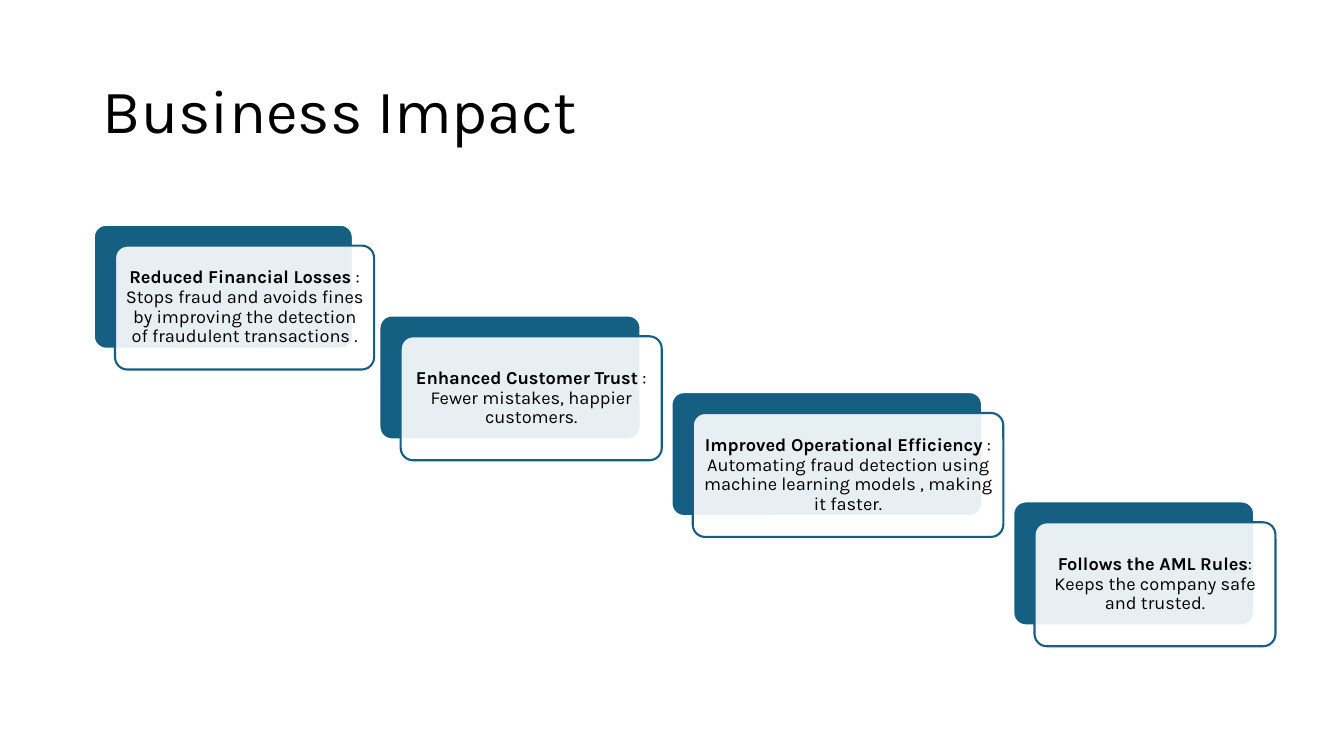
import pptx
import pptx.util
import pptx.dml.color
import pptx.enum.shapes
import pptx.enum.text
import pptx.oxml
import pptx.oxml.ns
import lxml.etree

BLUE = pptx.dml.color.RGBColor(0x15, 0x60, 0x82)
WHITE = pptx.dml.color.RGBColor(0xFF, 0xFF, 0xFF)
BLACK = pptx.dml.color.RGBColor(0x00, 0x00, 0x00)

WIDTH = pptx.util.Inches(13.33)
HEIGHT = pptx.util.Inches(7.5)
TITLE_ONLY = 5

CARD_HEIGHT = 16.4
SHIFT_ACROSS = 1.58
SHIFT_DOWN = 2.76

IMPACTS = [
    (6.98, 29.73, 19.28, "Reduced Financial Losses ",
     ": Stops fraud and avoids fines by improving the detection of fraudulent transactions ."),
    (28.23, 41.73, 19.43, "Enhanced Customer Trust ",
     ": Fewer mistakes, happier customers."),
    (49.96, 51.87, 23.11, "Improved Operational Efficiency ",
     ": Automating fraud detection using machine learning models , making it faster."),
    (75.39, 66.33, 17.93, "Follows the AML Rules",
     ": Keeps the company safe and trusted."),
]


def across(percent):
    return round(WIDTH * percent / 100)


def down(percent):
    return round(HEIGHT * percent / 100)


def add_span(para, text, size, bold=False):
    span = para.add_run()
    span.text = text
    span.font.name = "Karla"
    span.font.size = pptx.util.Pt(size)
    span.font.bold = bold
    span.font.color.rgb = BLACK


def add_title(page, text):
    title = page.shapes.title
    title.left, title.top = across(6.9), down(5.33)
    title.width, title.height = across(86.27), down(19.33)
    frame = title.text_frame
    frame.vertical_anchor = pptx.enum.text.MSO_ANCHOR.MIDDLE
    para = frame.paragraphs[0]
    para.alignment = pptx.enum.text.PP_ALIGN.LEFT
    para.line_spacing = 0.9
    add_span(para, text, 44)


def add_card(page, left, top, width, fill, line, opacity=100):
    card = page.shapes.add_shape(
        pptx.enum.shapes.MSO_SHAPE.ROUNDED_RECTANGLE,
        across(left), down(top), across(width), down(CARD_HEIGHT))
    card.adjustments[0] = 0.1
    card.shadow.inherit = False
    card.fill.solid()
    card.fill.fore_color.rgb = fill
    card.line.color.rgb = line
    card.line.width = pptx.util.Pt(1.5)
    if opacity < 100:
        color = card.fill._xPr.find(".//" + pptx.oxml.ns.qn("a:srgbClr"))
        alpha = lxml.etree.SubElement(color, pptx.oxml.ns.qn("a:alpha"))
        alpha.set("val", str(opacity * 1000))
    return card


def add_impact(page, left, top, width, heading, detail):
    add_card(page, left, top, width, BLUE, WHITE)
    front = add_card(page, left + SHIFT_ACROSS, top + SHIFT_DOWN, width,
                     WHITE, BLUE, opacity=90)
    frame = front.text_frame
    frame.word_wrap = True
    frame.vertical_anchor = pptx.enum.text.MSO_ANCHOR.MIDDLE
    for side in ("left", "right", "top", "bottom"):
        setattr(frame, "margin_" + side, pptx.util.Inches(0.05))
    para = frame.paragraphs[0]
    para.alignment = pptx.enum.text.PP_ALIGN.CENTER
    para.line_spacing = 0.9
    add_span(para, heading, 13, bold=True)
    add_span(para, detail, 13)


def main():
    deck = pptx.Presentation()
    deck.slide_width, deck.slide_height = WIDTH, HEIGHT
    page = deck.slides.add_slide(deck.slide_layouts[TITLE_ONLY])
    add_title(page, "Business Impact")
    for impact in IMPACTS:
        add_impact(page, *impact)
    deck.save("out.pptx")


if __name__ == "__main__":
    main()
